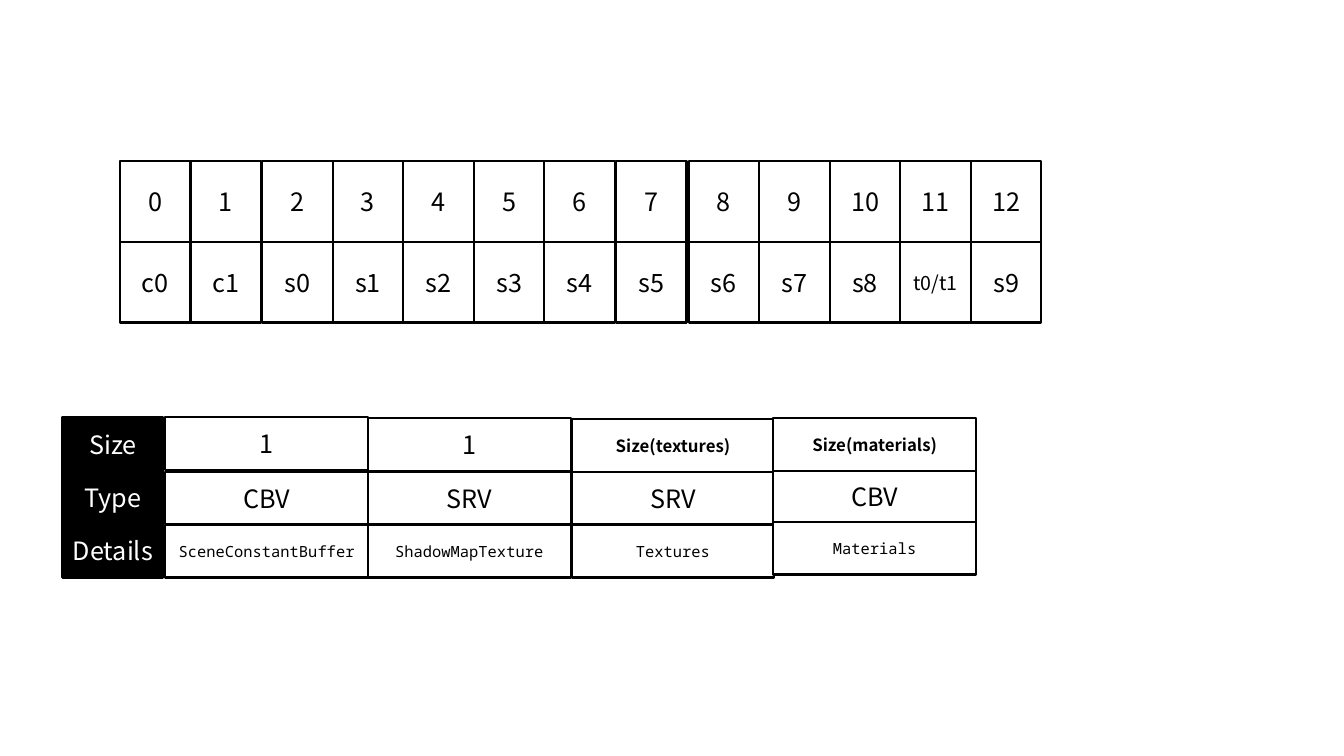
from pptx import Presentation
from pptx.dml.color import RGBColor
from pptx.enum.shapes import MSO_SHAPE
from pptx.enum.text import MSO_ANCHOR, PP_ALIGN
from pptx.util import Inches, Pt

RECTANGLE = MSO_SHAPE.RECTANGLE
MIDDLE = MSO_ANCHOR.MIDDLE
CENTER = PP_ALIGN.CENTER

COLORS = {"black": "000000", "white": "FFFFFF"}
SANS = "Noto Sans CJK SC"
MONO = "Noto Sans Mono"

SLOT_LEFTS = [1.19, 1.89, 2.6, 3.3, 4, 4.7, 5.4, 6.11, 6.83, 7.53, 8.23, 8.93, 9.63]
SLOT_NAMES = ["c0", "c1", "s0", "s1", "s2", "s3", "s4", "s5", "s6", "s7", "s8",
              "t0/t1", "s9"]
SLOT_TOP, SLOT_WIDTH, SLOT_HEIGHT = 1.6, 0.7, 0.8

HEADINGS = ["Size", "Type", "Details"]
HEADING_LEFT, HEADING_TOP, HEADING_WIDTH, HEADING_HEIGHT = 0.62, 4.14, 1, 0.53

# left, row tops, (size, type, details)
RANGES = [
    (1.64, (4.14, 4.68, 5.21), ("1", "CBV", "SceneConstantBuffer")),
    (3.65, (4.15, 4.68, 5.21), ("1", "SRV", "ShadowMapTexture")),
    (5.67, (4.16, 4.68, 5.21), ("Size(textures)", "SRV", "Textures")),
    (7.67, (4.15, 4.66, 5.18), ("Size(materials)", "CBV", "Materials")),
]
RANGE_WIDTH, RANGE_HEIGHT = 2.01, 0.52


def rgb(name):
    return RGBColor.from_string(COLORS[name])


def add_cell(slide, left, top, width, height, text, size=18, font=SANS,
             bold=False, fill="white", color="black"):
    sp = slide.shapes.add_shape(RECTANGLE, Inches(left), Inches(top),
                                Inches(width), Inches(height))
    sp.shadow.inherit = False
    sp.fill.solid()
    sp.fill.fore_color.rgb = rgb(fill)
    sp.line.color.rgb = rgb("black")
    sp.line.width = Pt(1.5)
    tf = sp.text_frame
    tf.word_wrap = True
    tf.vertical_anchor = MIDDLE
    tf.margin_left = tf.margin_right = Inches(0.05)
    p = tf.paragraphs[0]
    p.alignment = CENTER
    r = p.add_run()
    r.text = text
    r.font.name = font
    r.font.size = Pt(size)
    r.font.bold = bold
    r.font.color.rgb = rgb(color)


def add_slots(slide):
    """Draw the numbered slots with the register name below each."""
    for i, (left, name) in enumerate(zip(SLOT_LEFTS, SLOT_NAMES)):
        add_cell(slide, left, SLOT_TOP, SLOT_WIDTH, SLOT_HEIGHT, str(i))
        add_cell(slide, left, SLOT_TOP + SLOT_HEIGHT, SLOT_WIDTH, SLOT_HEIGHT,
                 name, size=14 if "/" in name else 18)


def add_range(slide, left, tops, texts):
    """Draw one descriptor range: size, type and details stacked."""
    size_text, type_text, details = texts
    box = (RANGE_WIDTH, RANGE_HEIGHT)
    add_cell(slide, left, tops[1], *box, type_text)
    add_cell(slide, left, tops[2], *box, details, size=11, font=MONO)
    formula = not size_text.isdigit()
    add_cell(slide, left, tops[0], *box, size_text,
             size=12 if formula else 18, bold=formula)


def add_headings(slide):
    for i, heading in enumerate(HEADINGS):
        add_cell(slide, HEADING_LEFT, HEADING_TOP + i * HEADING_HEIGHT,
                 HEADING_WIDTH, HEADING_HEIGHT, heading,
                 fill="black", color="white")


def main():
    prs = Presentation()
    prs.slide_width = Inches(13.33)
    prs.slide_height = Inches(7.5)
    slide = prs.slides.add_slide(prs.slide_layouts[6])
    add_slots(slide)
    for left, tops, texts in RANGES:
        add_range(slide, left, tops, texts)
    add_headings(slide)
    prs.save("out.pptx")


if __name__ == "__main__":
    main()
